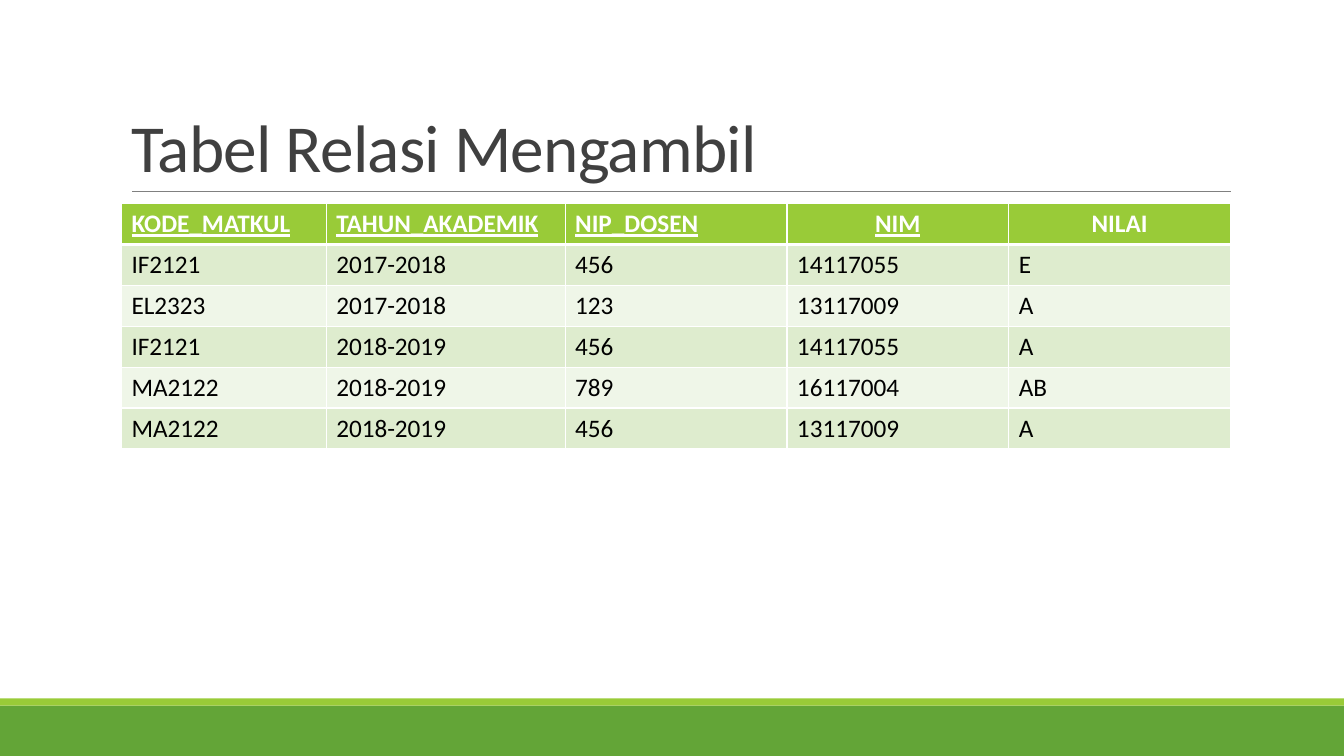
from dataclasses import dataclass

from lxml.etree import SubElement
from pptx import Presentation
from pptx.dml.color import RGBColor as Color
from pptx.enum.shapes import MSO_CONNECTOR as Connector, MSO_SHAPE as Preset
from pptx.enum.text import MSO_ANCHOR as Anchor, MSO_AUTO_SIZE as AutoSize, PP_ALIGN as Align
from pptx.oxml.ns import qn
from pptx.util import Inches, Pt


@dataclass(frozen=True)
class Theme:
    font: str = "Calibri"
    title_size: int = 48
    table_size: int = 18
    title: str = "404040"
    text: str = "000000"
    white: str = "FFFFFF"
    rule: str = "808080"
    green: str = "63A537"
    lime: str = "99CB38"
    bands: tuple = ("DEECCE", "EFF6E8")


def write(frame, text, *, font, size, color, bold=False, underline=False,
          align=Align.LEFT, line_spacing=None, tracking=None):
    paragraph = frame.paragraphs[0]
    paragraph.alignment = align
    if line_spacing:
        paragraph.line_spacing = line_spacing
    run = paragraph.add_run()
    run.text = text
    run.font.name = font
    run.font.size = Pt(size)
    run.font.bold = bold
    run.font.underline = underline
    run.font.color.rgb = Color.from_string(color)
    if tracking:
        run.font._element.set("spc", str(int(tracking * 100)))


class SlideBuilder:
    """Draws themed elements on a slide gridded into 133.3 columns and 75 rows."""

    def __init__(self, presentation, theme):
        self.theme = theme
        self.column = presentation.slide_width / 133.3
        self.row = presentation.slide_height / 75
        self.slide = presentation.slides.add_slide(presentation.slide_layouts[5])

    def place(self, left, top, width, height):
        return (round(left * self.column), round(top * self.row),
                round(width * self.column), round(height * self.row))

    def band(self, top, height, color):
        shape = self.slide.shapes.add_shape(Preset.RECTANGLE, *self.place(0, top, 133.3, height))
        shape.shadow.inherit = False
        shape.fill.solid()
        shape.fill.fore_color.rgb = Color.from_string(color)
        shape.line.fill.background()

    def rule(self, left, right, top):
        start_x, start_y, end_x, end_y = self.place(left, top, right, top)
        line = self.slide.shapes.add_connector(Connector.STRAIGHT, start_x, start_y, end_x, end_y)
        line.line.color.rgb = Color.from_string(self.theme.rule)
        line.line.width = Pt(0.5)
        SubElement(line._element.spPr, qn("a:effectLst"))

    def title(self, text, *area):
        shape = self.slide.shapes.title
        shape.left, shape.top, shape.width, shape.height = self.place(*area)
        frame = shape.text_frame
        frame.word_wrap = True
        frame.auto_size = AutoSize.NONE
        frame.vertical_anchor = Anchor.BOTTOM
        write(frame, text, font=self.theme.font, size=self.theme.title_size,
              color=self.theme.title, line_spacing=0.85, tracking=-0.5)

    def borders(self, cell, **widths):
        properties = cell._tc.get_or_add_tcPr()
        for side in "LRTB":
            line = SubElement(properties, qn(f"a:ln{side}"), w=str(Pt(widths.get(side, 1))))
            fill = SubElement(line, qn("a:solidFill"))
            SubElement(fill, qn("a:srgbClr"), val=self.theme.white)

    def table(self, header, records, left, top, column_widths, row_height, keys, centered):
        theme = self.theme
        rows = [header, *records]
        area = self.place(left, top, sum(column_widths), row_height * len(rows))
        table = self.slide.shapes.add_table(len(rows), len(header), *area).table
        for column, width in zip(table.columns, column_widths):
            column.width = round(width * self.column)
        for row_index, values in enumerate(rows):
            table.rows[row_index].height = round(row_height * self.row)
            is_header = row_index == 0
            background = theme.lime if is_header else theme.bands[(row_index - 1) % 2]
            for column_index, value in enumerate(values):
                cell = table.cell(row_index, column_index)
                self.borders(cell, T=3 if row_index == 1 else 1, B=3 if is_header else 1)
                cell.fill.solid()
                cell.fill.fore_color.rgb = Color.from_string(background)
                write(cell.text_frame, value, font=theme.font, size=theme.table_size,
                      color=theme.white if is_header else theme.text, bold=is_header,
                      underline=is_header and value in keys,
                      align=Align.CENTER if is_header and value in centered else Align.LEFT)


def main():
    presentation = Presentation()
    presentation.slide_width = Inches(13.33)
    presentation.slide_height = Inches(7.5)
    theme = Theme()
    builder = SlideBuilder(presentation, theme)

    builder.band(70, 5, theme.green)
    builder.band(69.3, 0.7, theme.lime)
    builder.rule(13.1, 122.1, 19)
    builder.title("Tabel Relasi Mengambil", 12, 3.1, 110, 15.9)

    header = ["KODE_MATKUL", "TAHUN_AKADEMIK", "NIP_DOSEN", "NIM", "NILAI"]
    records = [
        ["IF2121", "2017-2018", "456", "14117055", "E"],
        ["EL2323", "2017-2018", "123", "13117009", "A"],
        ["IF2121", "2018-2019", "456", "14117055", "A"],
        ["MA2122", "2018-2019", "789", "16117004", "AB"],
        ["MA2122", "2018-2019", "456", "13117009", "A"],
    ]
    builder.table(header, records, left=12.05, top=20.2, column_widths=[20.3, 23.7, 22, 22, 22],
                  row_height=4.05, keys=header[:4], centered=header[3:])

    presentation.save("out.pptx")


if __name__ == "__main__":
    main()
